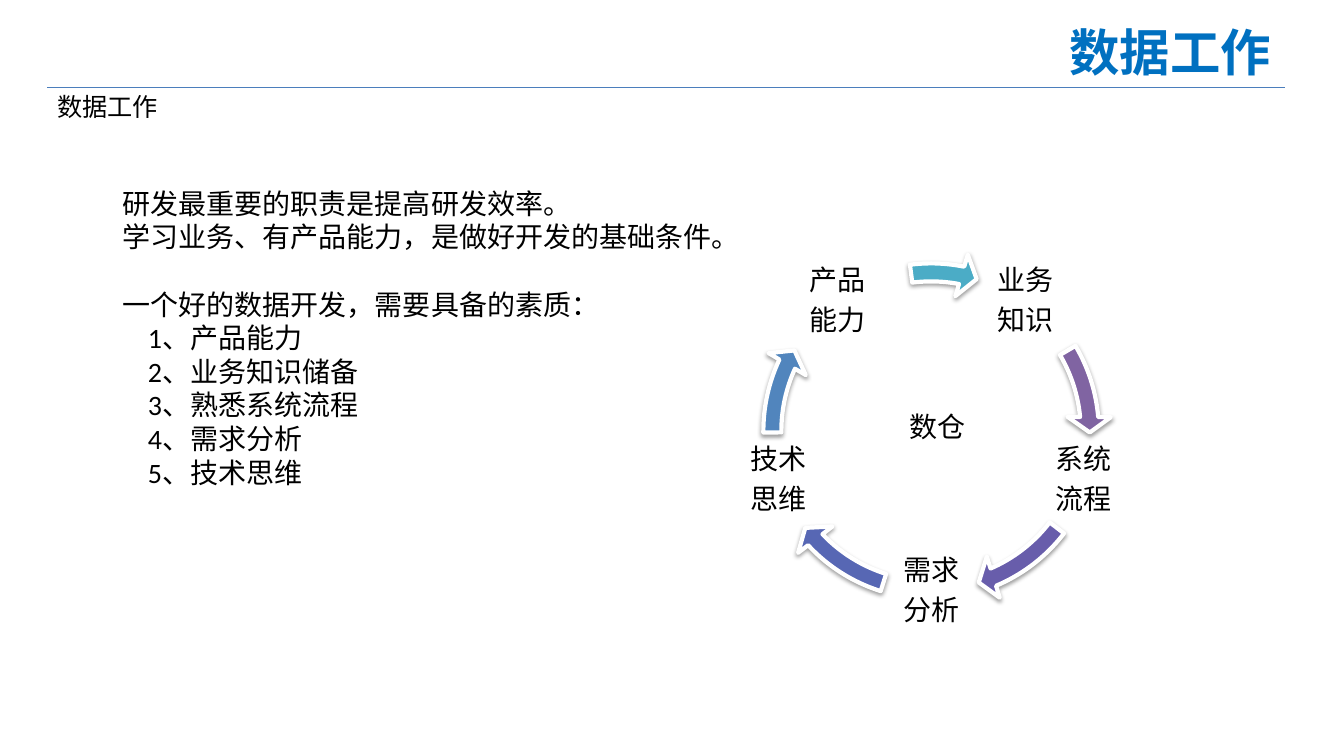
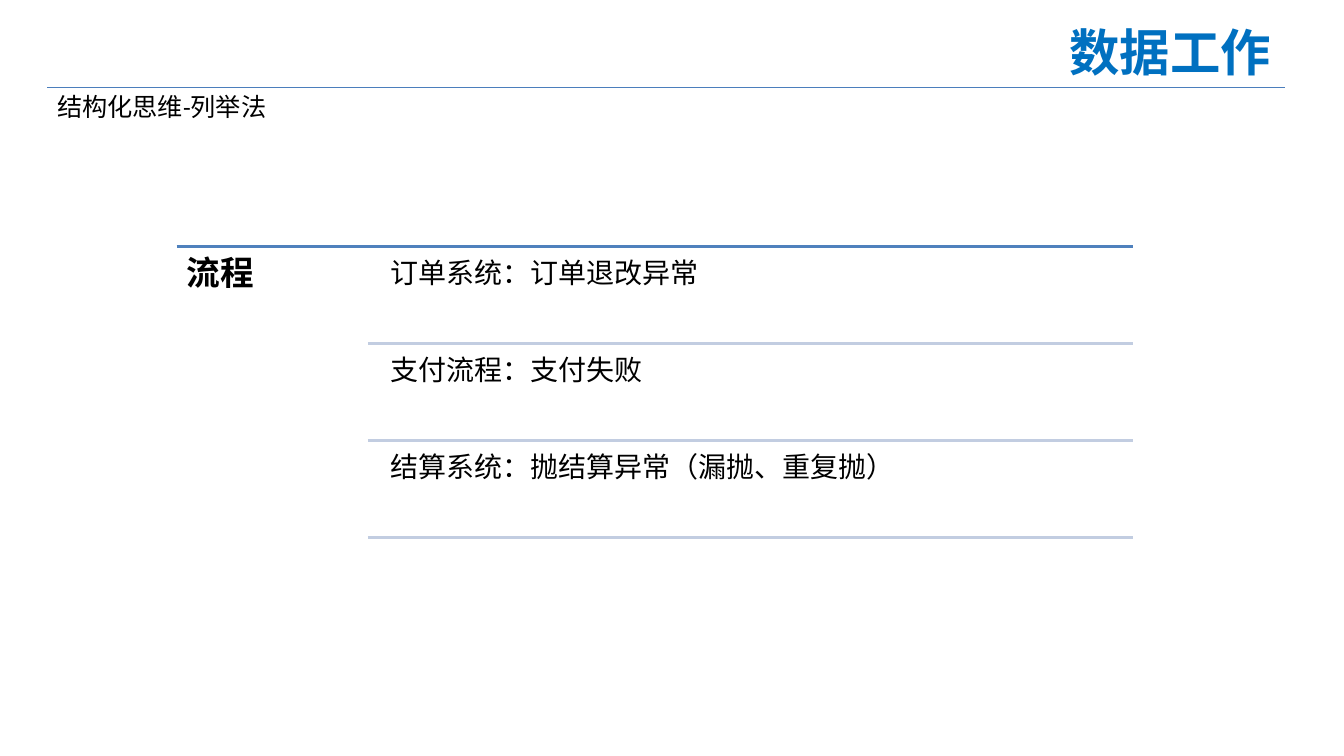
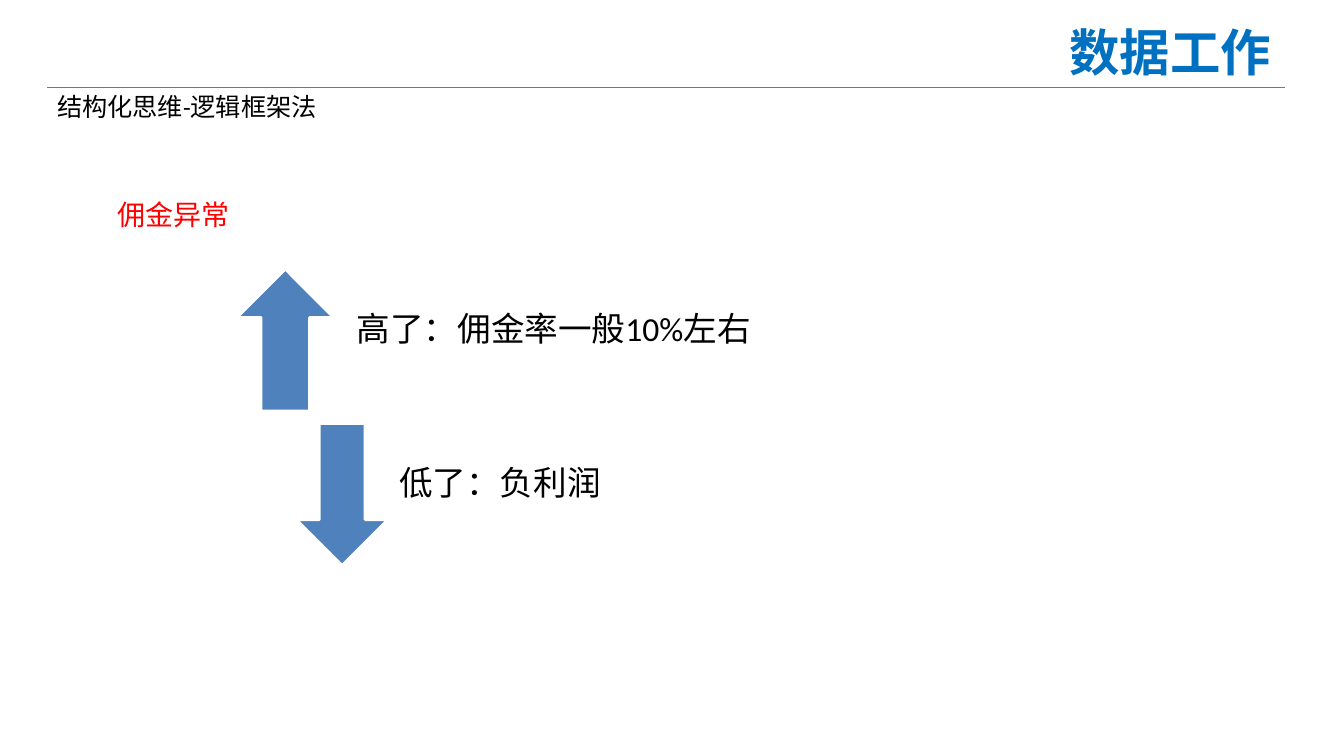
from math import cos, radians, sin

from lxml.etree import SubElement
from pptx import Presentation
from pptx.dml.color import RGBColor
from pptx.enum.shapes import MSO_CONNECTOR, MSO_SHAPE
from pptx.enum.text import MSO_ANCHOR, PP_ALIGN
from pptx.oxml.ns import qn
from pptx.util import Cm, Pt

BLACK = RGBColor(0x00, 0x00, 0x00)
WHITE = RGBColor(0xFF, 0xFF, 0xFF)
RED = RGBColor(0xFF, 0x00, 0x00)
TITLE_BLUE = RGBColor(0x00, 0x70, 0xC0)
RULE_BLUE = RGBColor(0x4B, 0x7E, 0xBC)
ACCENT_BLUE = RGBColor(0x4F, 0x81, 0xBD)
PALE_BLUE = RGBColor(0xC2, 0xCD, 0xE1)
PURPLE = RGBColor(0x80, 0x64, 0xA2)
VIOLET = RGBColor(0x68, 0x5D, 0xAB)
INDIGO = RGBColor(0x57, 0x67, 0xB4)
STEEL = RGBColor(0x51, 0x85, 0xBD)
TEAL = RGBColor(0x4B, 0xAC, 0xC6)

BODY = {"name": "Calibri", "size": Pt(20)}
SUBTITLE = {"name": "Calibri", "size": Pt(18)}
LARGE = {"name": "Calibri", "size": Pt(24)}
LARGE_BOLD = {**LARGE, "bold": True}
TITLE = {"name": "Noto Sans CJK SC", "size": Pt(36), "bold": True}

CENTRED = {"alignment": PP_ALIGN.CENTER}
TIGHT = {"line_spacing": 0.9, "space_after": Pt(7)}
TIGHT_LARGE = {"line_spacing": 0.9, "space_after": Pt(8.4)}


def set_formats(target, formats):
    """Set each attribute of the target from a dict of values."""
    for name, value in formats.items():
        setattr(target, name, value)


def margins(left, top, right, bottom):
    """Return frame margins in centimetres as format values."""
    sides = {"left": left, "top": top, "right": right, "bottom": bottom}
    return {f"margin_{side}": Cm(size) for side, size in sides.items()}


def add_text(page, box, lines, font, color=BLACK, para_formats=None, frame_formats=None):
    """Add a wrapped text box with one paragraph for each line."""
    frame = page.shapes.add_textbox(*map(Cm, box)).text_frame
    set_formats(frame, {"word_wrap": True, **(frame_formats or {})})
    for index, line in enumerate(lines):
        para = frame.add_paragraph() if index else frame.paragraphs[0]
        set_formats(para, para_formats or {})
        span = para.add_run()
        span.text = line
        set_formats(span.font, font)
        span.font.color.rgb = color
    return frame


def add_rule(page, left, top, width, color, weight):
    """Add a horizontal line without a shadow."""
    rule = page.shapes.add_connector(
        MSO_CONNECTOR.STRAIGHT, Cm(left), Cm(top), Cm(left + width), Cm(top))
    rule.line.color.rgb = color
    rule.line.width = Pt(weight)
    SubElement(rule._element.spPr, qn("a:effectLst"))


def add_arrow(page, preset, box, color, weight):
    """Add a filled arrow with a white outline."""
    arrow = page.shapes.add_shape(preset, *map(Cm, box))
    arrow.shadow.inherit = False
    arrow.fill.solid()
    arrow.fill.fore_color.rgb = color
    arrow.line.color.rgb = WHITE
    arrow.line.width = Pt(weight)
    return arrow


def add_soft_shadow(shape):
    """Put a soft black shadow just below the shape."""
    effects = shape._element.spPr.find(qn("a:effectLst"))
    shadow = SubElement(effects, qn("a:outerShdw"), blurRad="40000", dist="20000",
                        dir="5400000", rotWithShape="0")
    tint = SubElement(shadow, qn("a:srgbClr"), val="000000")
    SubElement(tint, qn("a:alpha"), val="38000")


def add_page(deck, subtitle):
    """Add a blank page with the shared title, rule and its own subtitle."""
    page = deck.slides.add_slide(deck.slide_layouts[6])
    add_rule(page, 1.19, 2.21, 31.2, RULE_BLUE, 0.75)
    add_text(page, (19.3, 0.41, 12.98, 1.8), ["数据工作"], TITLE, TITLE_BLUE,
             {"alignment": PP_ALIGN.RIGHT})
    add_text(page, (1.19, 2.18, 7.7, 1.02), [subtitle], SUBTITLE)
    return page


def add_duties(page, box):
    """Write the duties and the indented list of qualities."""
    intro = ["研发最重要的职责是提高研发效率。",
             "学习业务、有产品能力，是做好开发的基础条件。",
             "一个好的数据开发，需要具备的素质："]
    qualities = ["产品能力", "业务知识储备", "熟悉系统流程", "需求分析", "技术思维"]
    numbered = [f"{number}、{text}" for number, text in enumerate(qualities, 1)]
    paras = add_text(page, box, intro + numbered, BODY).paragraphs
    paras[len(intro) - 1].space_before = Pt(24)
    for para in paras[len(intro):]:
        para._p.get_or_add_pPr().set("marL", str(Cm(0.64)))


def add_cycle(page, box):
    """Draw five labels on a circle with curved arrows between them."""
    left, top, side, _ = box
    radius, label_height = 4.03, 2.41
    steps = [(("业务", "知识"), 2.41, PURPLE, 212.94, 197.66),
             (("系统", "流程"), 2.41, VIOLET, 40.15, 22.53),
             (("需求", "分析"), 2.41, INDIGO, 82.11, 64.49),
             (("技术", "思维"), 2.41, STEEL, 122.98, 107.71),
             (("产品", "能力"), 3.73, TEAL, 168.66, 157.66)]
    for index, (lines, width, color, end, start) in enumerate(steps):
        angle = radians(-54 + index * 360 / len(steps))
        x = left + side / 2 + radius * cos(angle) - width / 2
        y = top + side / 2 + radius * sin(angle) - label_height / 2
        add_text(page, (x, y, width, label_height), lines, BODY,
                 para_formats={**CENTRED, **TIGHT},
                 frame_formats={"vertical_anchor": MSO_ANCHOR.MIDDLE,
                                **margins(0.08, 0.08, 0.08, 0.08)})
        arrow = add_arrow(page, MSO_SHAPE.CIRCULAR_ARROW, box, color, 3)
        for position, value in enumerate((0.05, 3.36, end, start, 0.06)):
            arrow.adjustments[position] = value
        add_soft_shadow(arrow)
    add_text(page, (left + 3.03, top + 3.87, 3.35, 1.12), ["数仓"], BODY,
             para_formats=CENTRED)


def add_listing(page, box):
    """List the rows beside their heading, with a rule under each row."""
    left, top, width, height = box
    rows = ["订单系统：订单退改异常", "支付流程：支付失败",
            "结算系统：抛结算异常（漏抛、重复抛）"]
    heading_width, pitch, indent = width / 5, 2.44, 0.36
    add_rule(page, left, top, width, ACCENT_BLUE, 2)
    add_text(page, (left, top, heading_width, height), ["流程"], LARGE_BOLD,
             para_formats=TIGHT_LARGE, frame_formats=margins(0.25, 0.25, 0.25, 0.25))
    row_left, row_width = left + heading_width, width - heading_width
    for index, row in enumerate(rows):
        row_top = top + index * pitch
        add_text(page, (row_left + indent, row_top + 0.12, row_width - indent, 2.34),
                 [row], BODY, para_formats=TIGHT,
                 frame_formats=margins(0.2, 0.2, 0.2, 0.2))
        add_rule(page, row_left, row_top + pitch, row_width, PALE_BLUE, 2)


def add_directions(page, box):
    """Draw the up and down arrows with their explanations."""
    left, top, width, height = box
    arrow_height = 3.58
    directions = [
        (MSO_SHAPE.UP_ARROW, 0, 2.44, 2.54, 18.31, "高了：佣金率一般10%左右"),
        (MSO_SHAPE.DOWN_ARROW, 1.5, 2.31, 3.61, 13.49, "低了：负利润")]
    for index, (preset, shift, breadth, text_shift, text_width, text) in enumerate(directions):
        y = top + index * (height - arrow_height)
        add_arrow(page, preset, (left + shift, y, breadth, arrow_height), ACCENT_BLUE, 2)
        add_text(page, (left + text_shift, y, text_width, arrow_height), [text], LARGE,
                 para_formats=TIGHT_LARGE,
                 frame_formats={"vertical_anchor": MSO_ANCHOR.MIDDLE,
                                **margins(0.48, 0, 0.48, 0.48)})


def main():
    """Build the three pages and save the deck."""
    deck = Presentation()
    set_formats(deck, {"slide_width": Cm(33.87), "slide_height": Cm(19.05)})
    work = add_page(deck, "数据工作")
    add_duties(work, (2.84, 4.57, 27.58, 7.95))
    add_cycle(work, (18.92, 6.32, 9.09, 9.09))
    add_listing(add_page(deck, "结构化思维-列举法"), (4.45, 6.22, 24.1, 7.44))
    logic = add_page(deck, "结构化思维-逻辑框架法")
    add_directions(logic, (5.97, 6.78, 20.85, 7.47))
    add_text(logic, (2.72, 4.85, 3.48, 1.12), ["佣金异常"], BODY, RED)
    deck.save("out.pptx")


if __name__ == "__main__":
    main()
